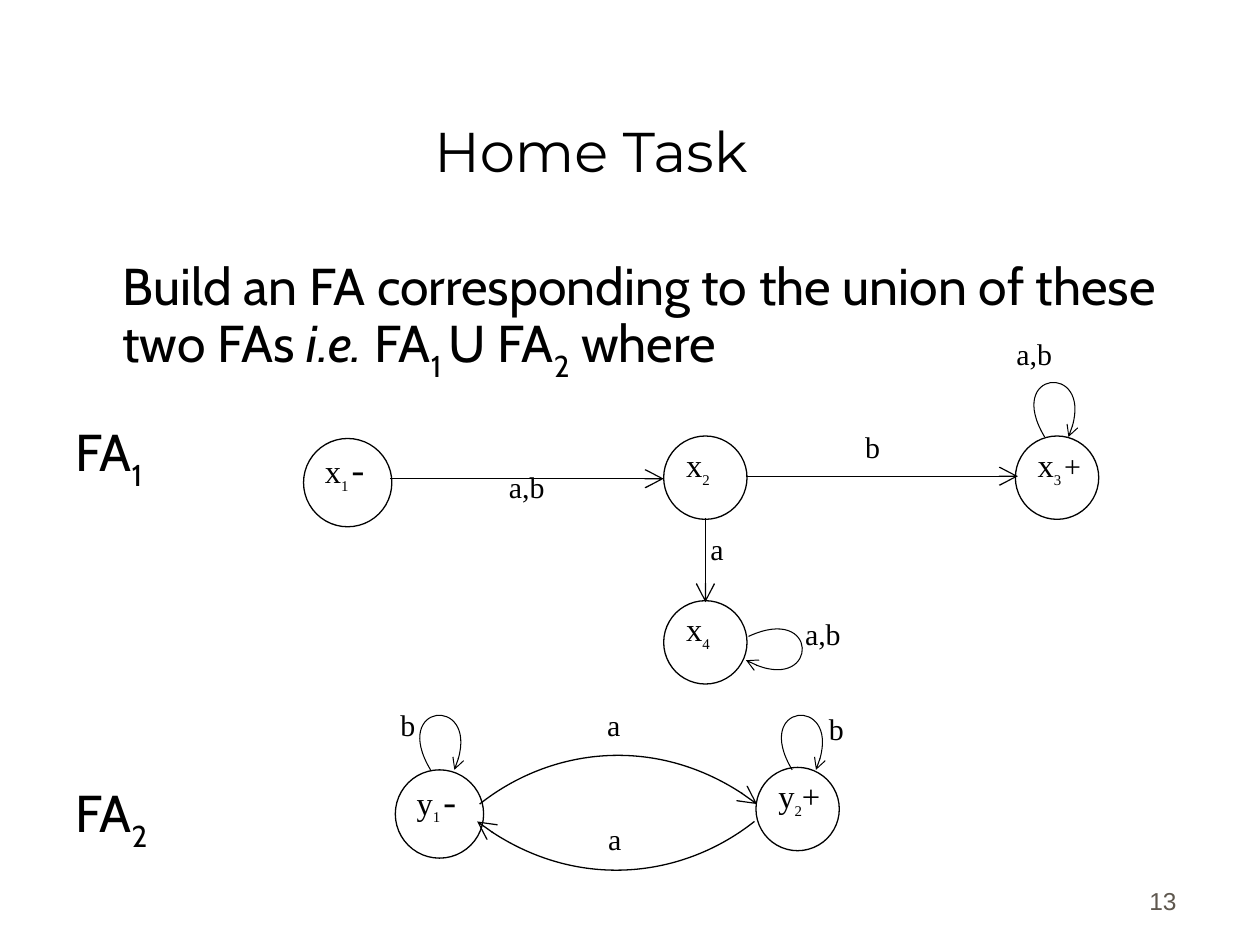
from dataclasses import dataclass
from typing import NamedTuple

from pptx import Presentation
from pptx.dml.color import RGBColor
from pptx.enum.shapes import MSO_CONNECTOR, MSO_SHAPE
from pptx.enum.text import MSO_ANCHOR as Anchor, PP_ALIGN as Align
from pptx.oxml.ns import qn
from pptx.oxml.xmlchemy import OxmlElement
from pptx.util import Cm, Pt


@dataclass(frozen=True)
class Theme:
    """Colours, fonts and type sizes of the slide."""
    ink: RGBColor = RGBColor(0, 0, 0)
    paper: RGBColor = RGBColor(255, 255, 255)
    muted: RGBColor = RGBColor(0x5E, 0x57, 0x4E)
    title_font: str = "Montserrat"
    body_font: str = "Cabin"
    label_font: str = "Times New Roman"
    number_font: str = "Arial"
    title_size: float = 32
    body_size: float = 29.6
    state_size: float = 18.6
    label_size: float = 17.1
    index_size: float = 14.7
    gap_size: float = 10.1
    number_size: float = 14
    line: float = 0.75
    thin_line: float = 0.6
    tight: float = 0.8


THEME = Theme()
LOOP_ABOVE = ((-0.81, -1.35), (1.12, -1.52), (0.48, 0))
LOOP_RIGHT = ((1.42, -0.66), (1.42, 1.27), (-0.05, 0.48))
ARC_RIGHT = ((1.44, -1.14), (3.75, -1.42), (5.59, 0))
ARC_LEFT = tuple((-x, -y) for x, y in ARC_RIGHT)
SUBSCRIPT = {"subscript": True}
INDEX = {"subscript": True, "size": THEME.index_size}
GAP = (" ", {"subscript": True, "size": THEME.gap_size})
MINUS = (GAP, ("-", {"font": THEME.body_font}))


class Box(NamedTuple):
    """A rectangle in centimetres."""
    left: float
    top: float
    width: float
    height: float

    def inside(self, x, y, width=0, height=0):
        """Return a box placed relative to this one."""
        return Box(self.left + x, self.top + y, width, height)

    def lengths(self):
        """Return the four values as slide lengths."""
        return [Cm(value) for value in self]


def add_text(slide, box, *paragraphs, size, font, color=THEME.ink, align=Align.LEFT,
             anchor=Anchor.TOP, spacing=1.0, indents=(), gaps=()):
    """Add a text box whose paragraphs are sequences of (text, format) runs."""
    frame = slide.shapes.add_textbox(*box.lengths()).text_frame
    frame.word_wrap = True
    frame.vertical_anchor = anchor
    for number, runs in enumerate(paragraphs):
        paragraph = frame.add_paragraph() if number else frame.paragraphs[0]
        paragraph.alignment = align
        paragraph.line_spacing = spacing
        if indents:
            paragraph._p.get_or_add_pPr().set("marL", str(Cm(indents[number])))
        if gaps:
            paragraph.space_before = Pt(gaps[number])
        for text, look in runs:
            run = paragraph.add_run()
            run.text = text
            run.font.size = Pt(look.get("size", size))
            run.font.name = look.get("font", font)
            run.font.color.rgb = color
            if look.get("italic"):
                run.font.italic = True
            if look.get("subscript"):
                run.font._element.set("baseline", "-30000")


def style_line(shape, width=THEME.line, head=None):
    """Set the ink line of a shape and, if asked, the size of its arrowhead."""
    shape.line.color.rgb = THEME.ink
    shape.line.width = Pt(width)
    if head:
        tail = OxmlElement("a:tailEnd")
        for key, value in (("type", "arrow"), ("w", head), ("len", head)):
            tail.set(key, value)
        shape.line._get_or_add_ln().append(tail)


def add_state(slide, box, name, index, sign=()):
    """Draw a state circle that fills the box, with its name, index and sign."""
    circle = slide.shapes.add_shape(MSO_SHAPE.OVAL, *box.lengths())
    circle.shadow.inherit = False
    circle.fill.solid()
    circle.fill.fore_color.rgb = THEME.paper
    style_line(circle)
    offset = (0.18, 0.23) if box.width > 1.7 else (0.2, 0.15)
    add_text(slide, box.inside(*offset, 2.03, 1.16), ((name, {}), (index, INDEX), *sign),
             size=THEME.state_size, font=THEME.label_font, spacing=THEME.tight)


def add_arrow(slide, box):
    """Draw a straight arrow from the first corner of the box to the opposite one."""
    left, top, width, height = box.lengths()
    arrow = slide.shapes.add_connector(
        MSO_CONNECTOR.STRAIGHT, left, top, left + width, top + height)
    style_line(arrow, head="lg")
    arrow._element.spPr.append(OxmlElement("a:effectLst"))


def add_curve(slide, start, bend, width=THEME.line, head="lg"):
    """Draw a cubic curve with an arrowhead from the start box along the bend."""
    builder = slide.shapes.build_freeform(Cm(start.left), Cm(start.top))
    builder.add_line_segments(
        [(Cm(start.left + x), Cm(start.top + y)) for x, y in bend], close=False)
    curve = builder.convert_to_shape()
    outline = next(curve._element.iter(qn("a:path")))
    cubic = OxmlElement("a:cubicBezTo")
    for segment in outline.findall(qn("a:lnTo")):
        cubic.append(segment[0])
        outline.remove(segment)
    outline.append(cubic)
    curve.shadow.inherit = False
    curve.fill.background()
    style_line(curve, width, head)


def add_automaton(slide, box, states, arrows=(), arcs=(), loops=(), labels=()):
    """Draw a finite automaton with its parts placed relative to the box."""
    for x, y, size, *words in states:
        add_state(slide, box.inside(x, y, size, size), *words)
    for arrow in arrows:
        add_arrow(slide, box.inside(*arrow))
    for x, y, bend in arcs:
        add_curve(slide, box.inside(x, y), bend)
    for x, y, bend in loops:
        add_curve(slide, box.inside(x, y), bend, THEME.thin_line, "med")
    for x, y, text in labels:
        add_text(slide, box.inside(x, y, 2.57, 1.04), ((text, {}),),
                 size=THEME.label_size, font=THEME.label_font, spacing=THEME.tight)


def add_heading(slide, box):
    """Write the slide title."""
    add_text(slide, box, (("Home Task", {}),), size=THEME.title_size,
             font=THEME.title_font, align=Align.CENTER, anchor=Anchor.BOTTOM)


def add_task(slide, box):
    """Write the task and the names of the two automata."""
    task = (("Build an FA corresponding to the union of these two FAs ", {}),
            ("i.e. ", {"italic": True}), ("FA", {}), ("1 ", SUBSCRIPT),
            ("U FA", {}), ("2", SUBSCRIPT), (" where", {}))
    names = [(("FA", {}), (index, SUBSCRIPT)) for index in "12"]
    add_text(slide, box, task, *names, size=THEME.body_size, font=THEME.body_font,
             spacing=THEME.tight, indents=(0.95, 0, 0), gaps=(0, 28.8, 172.8))


def add_page_number(slide, box):
    """Write the page number."""
    add_text(slide, box, (("13", {}),), size=THEME.number_size, font=THEME.number_font,
             color=THEME.muted, align=Align.RIGHT, anchor=Anchor.BOTTOM)


def add_first_automaton(slide, box):
    """Draw FA1."""
    plus = (GAP, ("+", {"size": THEME.label_size}))
    add_automaton(
        slide, box,
        states=((0, 2.06, 1.78, "x", "1", MINUS), (7.26, 2.01, 1.68, "x", "2"),
                (14.35, 2.01, 1.68, "x", "3", plus), (7.26, 5.33, 1.68, "x", "4")),
        arrows=((1.75, 2.87, 5.51, 0), (8.92, 2.82, 5.48, 0), (8.1, 3.66, 0, 1.7)),
        loops=((14.94, 2.03, LOOP_ABOVE), (8.97, 6.05, LOOP_RIGHT)),
        labels=((14.12, 0, "a,b"), (11.07, 1.88, "b"), (3.89, 2.69, "a,b"),
                (9.86, 5.64, "a,b"), (7.95, 3.94, "a")))


def add_second_automaton(slide, box):
    """Draw FA2."""
    add_automaton(
        slide, box,
        states=((0.15, 1.6, 1.78, "y", "1", MINUS),
                (7.42, 1.55, 1.68, "y", "2", (("+", {}),))),
        arcs=((1.85, 2.29, ARC_RIGHT), (7.39, 2.64, ARC_LEFT)),
        loops=((0.86, 1.6, LOOP_ABOVE), (8.15, 1.6, LOOP_ABOVE)),
        labels=((4.17, 0.33, "a"), (4.19, 2.64, "a"), (8.64, 0.43, "b"), (0, 0.33, "b")))


def main():
    """Build and save the slide."""
    presentation = Presentation()
    presentation.slide_width, presentation.slide_height = Cm(25.4), Cm(19.05)
    slide = presentation.slides.add_slide(presentation.slide_layouts[6])
    add_page_number(slide, Box(18.69, 17.3, 5.28, 1.27))
    add_heading(slide, Box(1.12, 0.64, 21.59, 3.18))
    add_task(slide, Box(1.27, 5.23, 22.71, 11.58))
    add_first_automaton(slide, Box(6.12, 6.78, 16.69, 7.01))
    add_second_automaton(slide, Box(7.82, 13.92, 11.21, 4.06))
    presentation.save("out.pptx")


if __name__ == "__main__":
    main()
